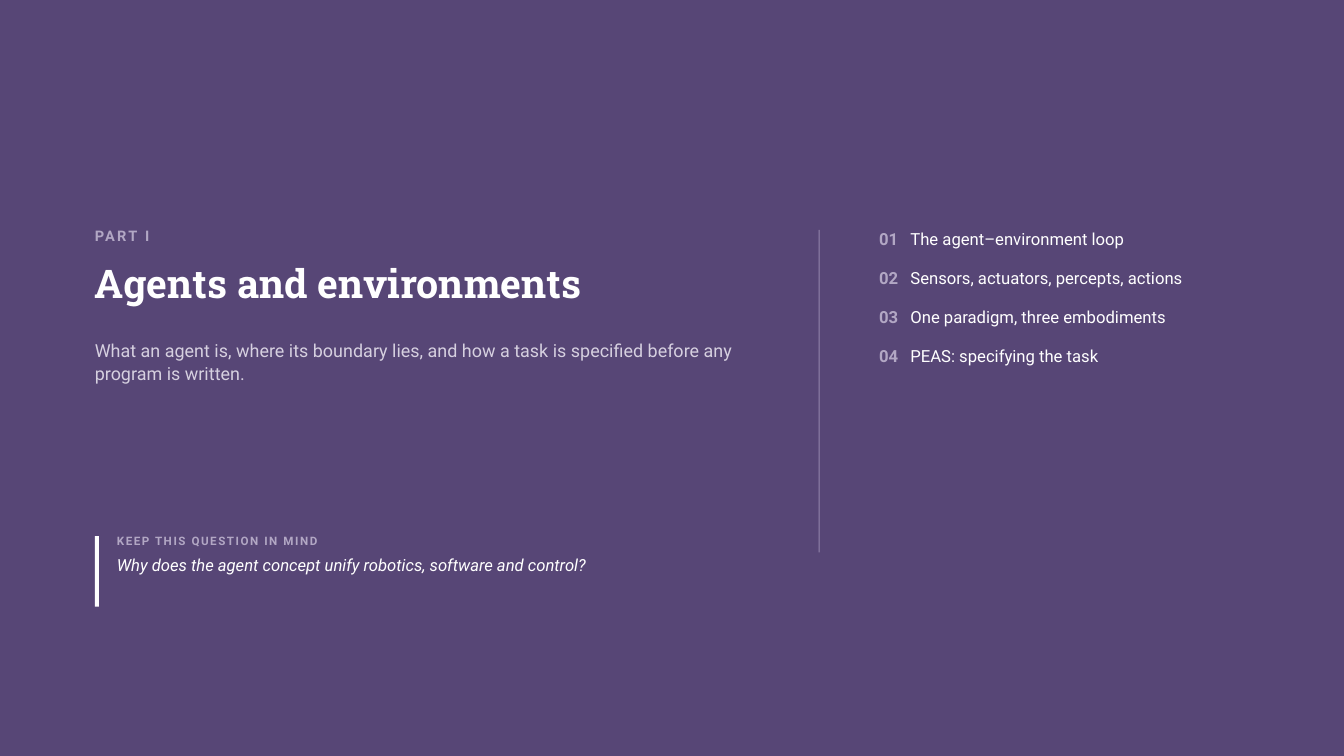
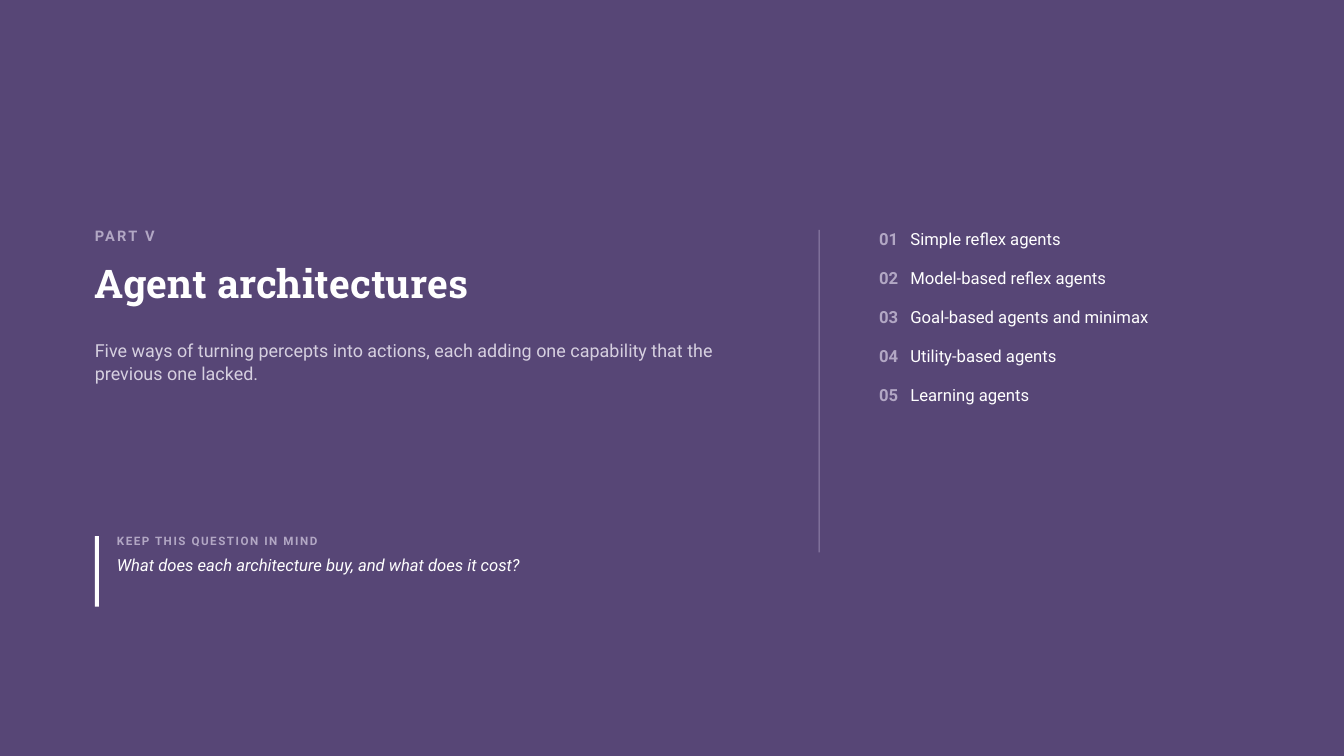
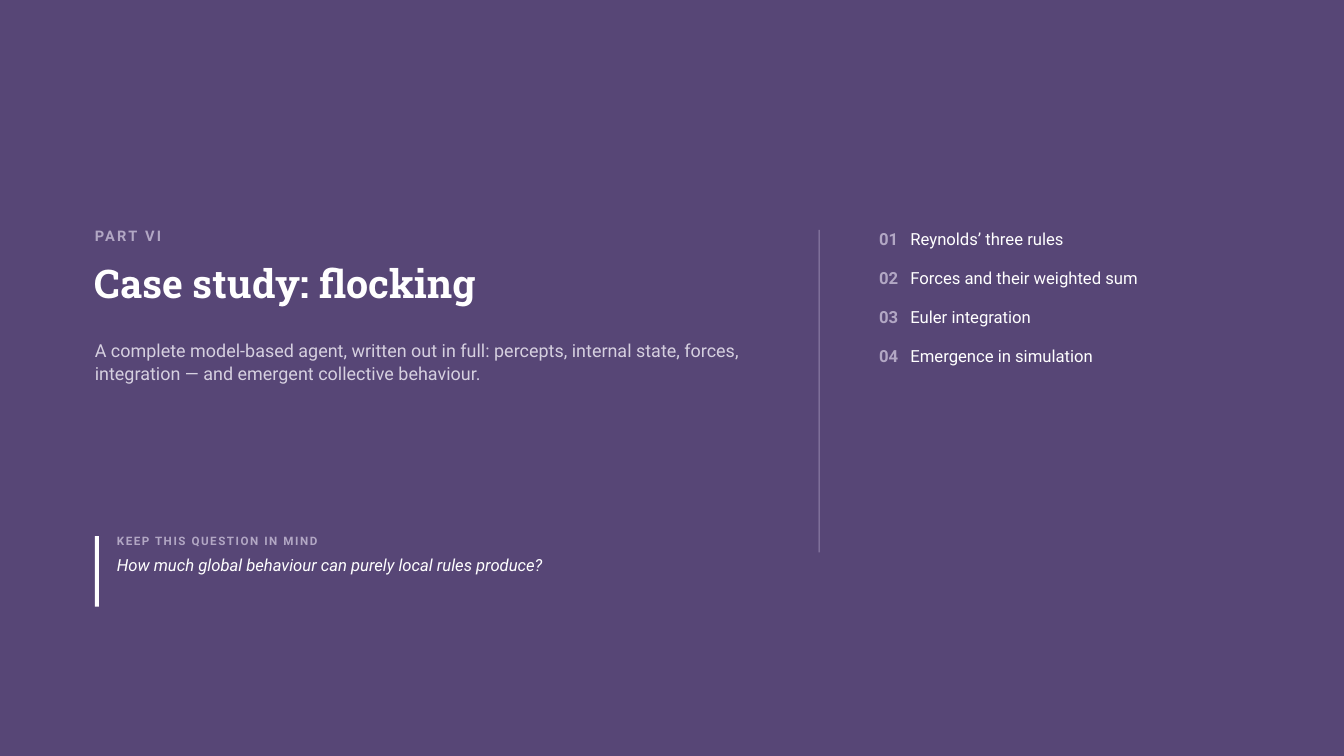
import pptx
import pptx.dml.color
import pptx.enum.shapes
import pptx.oxml.ns
import pptx.util
import lxml.etree

Inches = pptx.util.Inches
Pt = pptx.util.Pt
color = pptx.dml.color.RGBColor.from_string

PURPLE = "574676"
WHITE = "FFFFFF"
LILAC = "B2A7C4"
PALE = "D6D0E0"
MAUVE = "9486AC"
LEFT = 0.94
TOP = 2.28
QUESTION_TOP = 5.32
NUMBER_WIDTH = 0.31


def add_frame(slide, left, top, width, height):
    frame = slide.shapes.add_textbox(
        Inches(left), Inches(top), Inches(width), Inches(height)).text_frame
    frame.word_wrap = True
    frame.margin_left = frame.margin_right = 0
    frame.margin_top = frame.margin_bottom = 0
    return frame


def write(paragraph, text, *, size, line, ink=WHITE, face="Roboto",
          bold=False, italic=False, tracking=0, before=0):
    paragraph.line_spacing = Pt(line)
    paragraph.space_before = Pt(before)
    run = paragraph.add_run()
    run.text = text
    run.font.name = face
    run.font.size = Pt(size)
    run.font.bold = bold
    run.font.italic = italic
    run.font.color.rgb = color(ink)
    if tracking:
        run.font._element.set("spc", str(round(tracking * 100)))


parts = [
    ("PART I", "Agents and environments",
     "What an agent is, where its boundary lies, and how a task is specified "
     "before any program is written.",
     "Why does the agent concept unify robotics, software and control?",
     ["The agent–environment loop", "Sensors, actuators, percepts, actions",
      "One paradigm, three embodiments", "PEAS: specifying the task"]),
    ("PART V", "Agent architectures",
     "Five ways of turning percepts into actions, each adding one capability "
     "that the previous one lacked.",
     "What does each architecture buy, and what does it cost?",
     ["Simple reflex agents", "Model-based reflex agents",
      "Goal-based agents and minimax", "Utility-based agents",
      "Learning agents"]),
    ("PART VI", "Case study: flocking",
     "A complete model-based agent, written out in full: percepts, internal "
     "state, forces, integration — and emergent collective behaviour.",
     "How much global behaviour can purely local rules produce?",
     ["Reynolds’ three rules", "Forces and their weighted sum",
      "Euler integration", "Emergence in simulation"]),
]

deck = pptx.Presentation()
deck.slide_width = Inches(13.33)
deck.slide_height = Inches(7.5)
backdrop = deck.slide_master.background.fill
backdrop.solid()
backdrop.fore_color.rgb = color(PURPLE)

for part, title, summary, question, topics in parts:
    slide = deck.slides.add_slide(deck.slide_layouts[6])

    write(add_frame(slide, LEFT, TOP, 3, 0.26).paragraphs[0], part,
          size=10.4, line=10.4, ink=LILAC, bold=True, tracking=1.6)
    write(add_frame(slide, LEFT, 2.62, 6.9, 0.5).paragraphs[0], title,
          size=28.2, line=29.9, face="Roboto Slab", bold=True)
    write(add_frame(slide, LEFT, 3.36, 6.5, 0.5).paragraphs[0], summary,
          size=12.8, line=16.4, ink=PALE)

    for left, top, width, height, ink in [
            (LEFT, QUESTION_TOP, 0.04, 0.7, WHITE),
            (8.12, TOP, 0.01, 3.2, MAUVE)]:
        rule = slide.shapes.add_shape(
            pptx.enum.shapes.MSO_SHAPE.RECTANGLE,
            Inches(left), Inches(top), Inches(width), Inches(height))
        rule.shadow.inherit = False
        rule.fill.solid()
        rule.fill.fore_color.rgb = color(ink)
        rule.line.fill.background()

    prompt = add_frame(slide, 1.16, QUESTION_TOP, 6.3, 0.74)
    write(prompt.paragraphs[0], "KEEP THIS QUESTION IN MIND",
          size=8.3, line=8.3, ink=LILAC, bold=True, tracking=1.1)
    write(prompt.add_paragraph(), question,
          size=11.9, line=14, italic=True, before=5)

    agenda = add_frame(slide, 8.72, TOP, 3.7, 3.2)
    for number, topic in enumerate(topics, 1):
        entry = agenda.paragraphs[0] if number == 1 else agenda.add_paragraph()
        tabs = lxml.etree.SubElement(
            entry._p.get_or_add_pPr(), pptx.oxml.ns.qn("a:tabLst"))
        lxml.etree.SubElement(tabs, pptx.oxml.ns.qn("a:tab"),
                              pos=str(Inches(NUMBER_WIDTH)), algn="l")
        gap = 0 if number == 1 else 14
        write(entry, f"{number:02}\t", size=11.9, line=13.8, ink=LILAC,
              bold=True, before=gap)
        write(entry, topic, size=11.9, line=13.8, before=gap)

deck.save("out.pptx")
